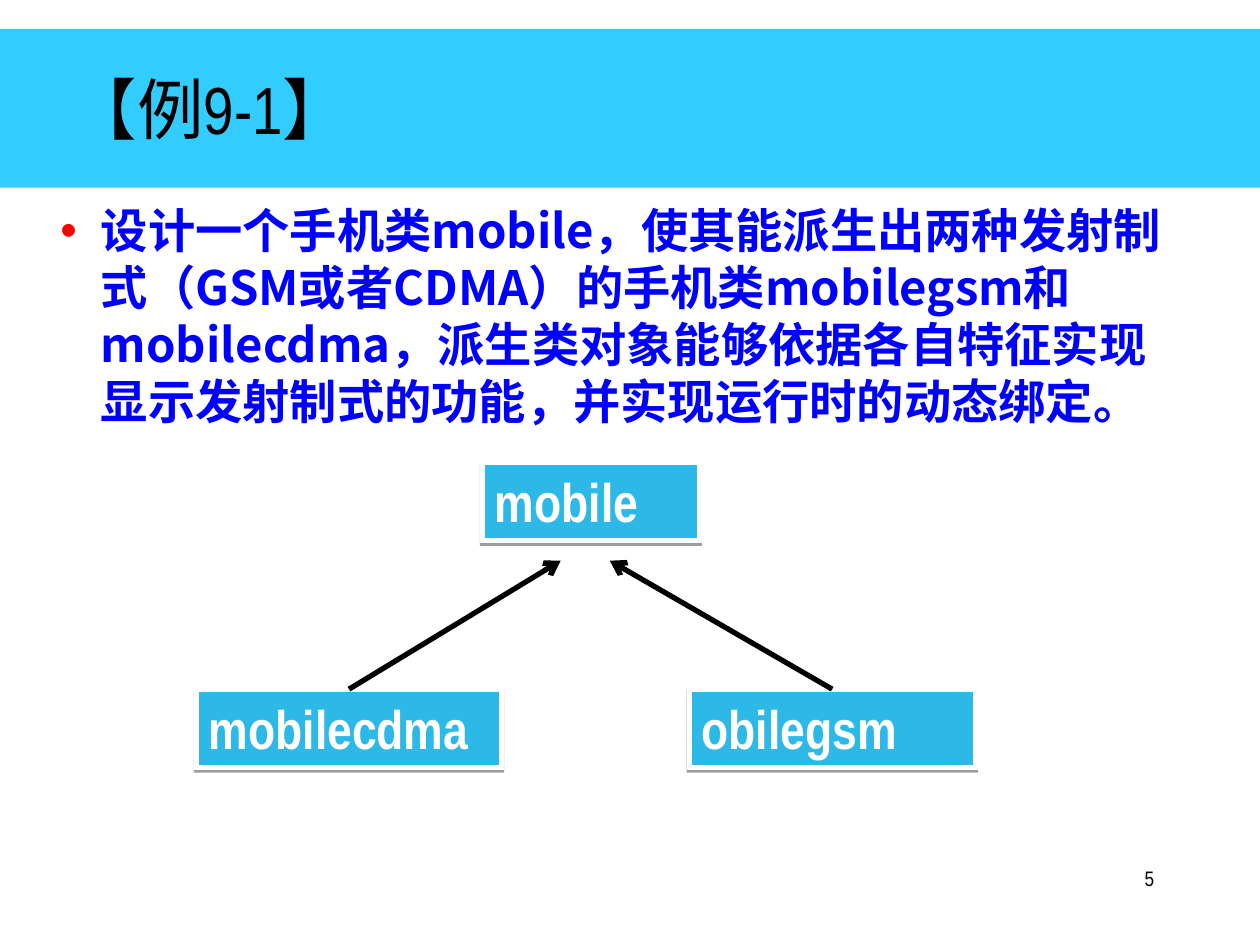
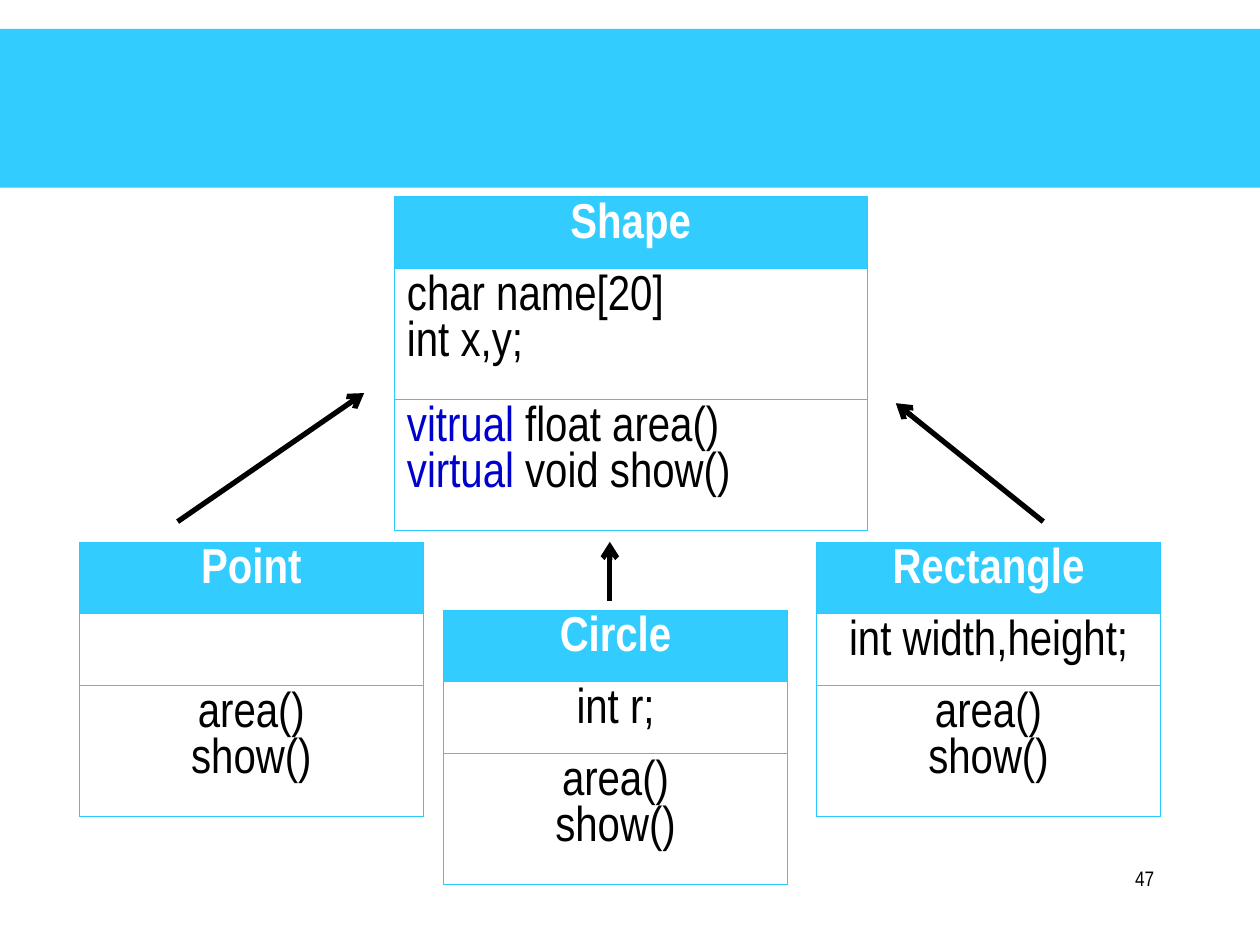
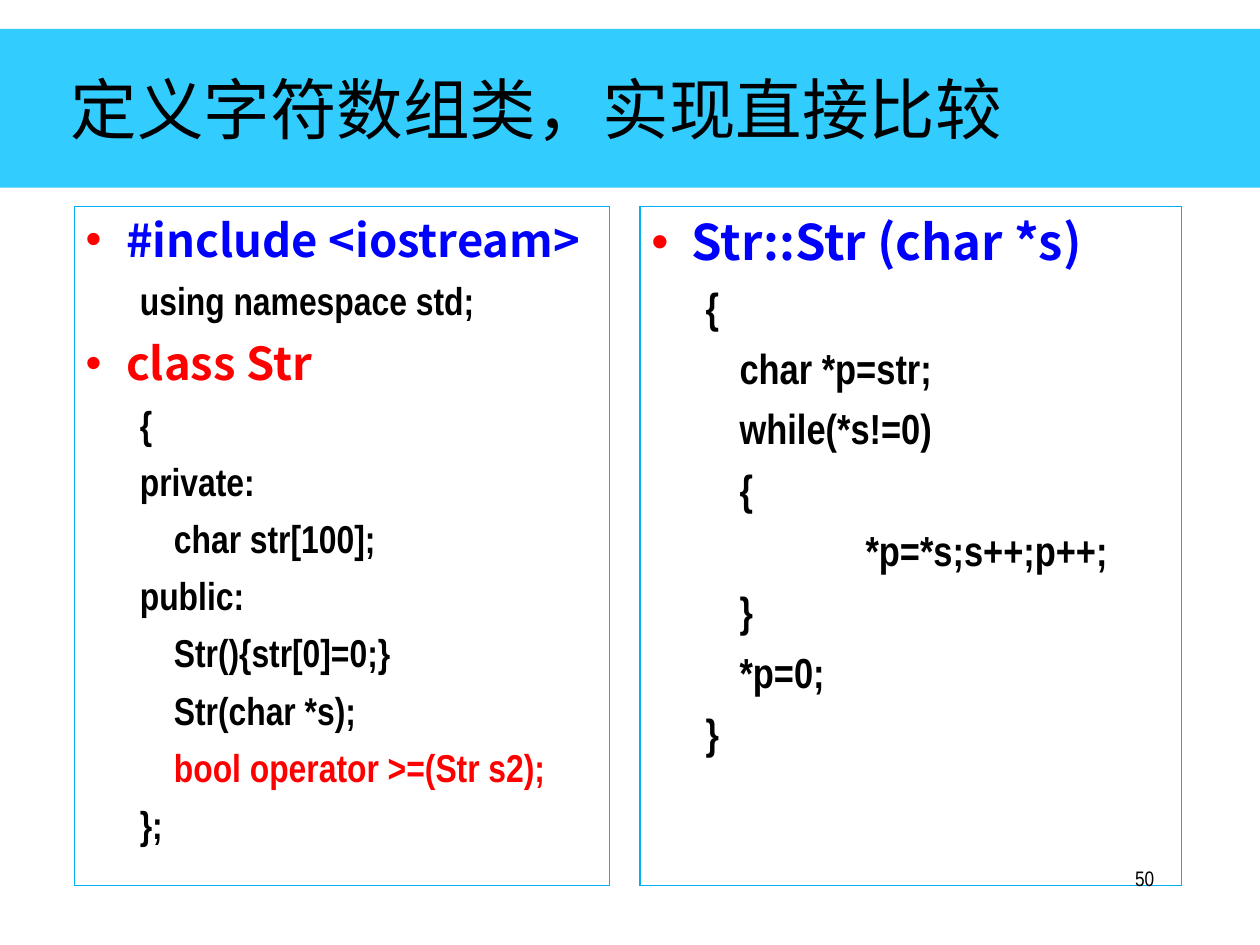
"""Build three lecture slides on polymorphism in C++."""
from lxml import etree
from pptx import Presentation, util as u
from pptx.dml.color import RGBColor
from pptx.enum import shapes, text
from pptx.oxml.ns import qn

WIDTH, HEIGHT = 10, 7.5
LATIN, CJK = "Arial Narrow", "Noto Sans CJK SC"
SKY, BOX_BLUE, PANEL_LINE, GRID_LINE = "33CCFF", "2DB9E7", "00B0F0", "2DCAFE"
BLACK, WHITE, BLUE, RED, KEYWORD = "000000", "FFFFFF", "0000FF", "FF0000", "0000CC"
LEFT, CENTER, RIGHT = text.PP_ALIGN.LEFT, text.PP_ALIGN.CENTER, text.PP_ALIGN.RIGHT

TASK = ("设计一个手机类mobile，使其能派生出两种发射制式（GSM或者CDMA）的手机类mobilegsm"
        "和mobilecdma，派生类对象能够依据各自特征实现显示发射制式的功能，并实现运行时的动态绑定。")
PHONE_BASE = ("mobile", 3.83, 3.67, 1.72)
PHONE_CHILDREN = [
    (("mobilecdma", 1.56, 5.47, 2.42), (4.45, 4.45)),
    (("obilegsm", 5.47, 5.47, 2.27), (4.84, 4.45)),
]

METHODS = [[("area()", BLACK)], [("show()", BLACK)]]
CLASSES = [
    ("Point", 0.63, 4.3, 2.73, CENTER, [[], METHODS]),
    ("Circle", 3.52, 4.84, 2.73, CENTER, [[[("int r;", BLACK)]], METHODS]),
    ("Rectangle", 6.48, 4.3, 2.73, CENTER, [[[("int width,height;", BLACK)]], METHODS]),
    ("Shape", 3.13, 1.56, 3.75, LEFT, [
        [[("char name[20]", BLACK)], [("int x,y;", BLACK)]],
        [[("vitrual", KEYWORD), (" float area()", BLACK)],
         [("virtual", KEYWORD), (" void show()", BLACK)]]]),
]
INHERITANCE = [((1.41, 4.14), (2.89, 3.12)), ((8.28, 4.14), (7.11, 3.2)),
               ((4.84, 4.77), (4.84, 4.3))]

CODE_PANELS = [
    (0.59, 4.25, 25.9, 22.2, [
        (0, "#include <iostream>", BLUE), (1, "using namespace std;", BLACK),
        (0, "class Str", RED), (1, "{", BLACK), (1, "private:", BLACK),
        (1, "\tchar str[100];", BLACK), (1, "public:", BLACK),
        (1, "\tStr(){str[0]=0;}", BLACK), (1, "\tStr(char *s);", BLACK),
        (1, "\tbool operator >=(Str s2);", RED), (1, "};", BLACK)]),
    (5.08, 4.3, 28, 24, [
        (0, "Str::Str (char *s)", BLUE), (1, "{", BLACK), (1, "\tchar *p=str;", BLACK),
        (1, "\twhile(*s!=0)", BLACK), (1, "\t{", BLACK), (1, "\t\t*p=*s;s++;p++;", BLACK),
        (1, "\t}", BLACK), (1, "\t*p=0;", BLACK), (1, "}", BLACK)]),
]


def color(value):
    return RGBColor.from_string(value)


def add_xml(parent, tag, **attributes):
    return etree.SubElement(parent, qn(tag), {key: str(value) for key, value in attributes.items()})


def set_margins(target, side, top):
    margins = {"margin_left": side, "margin_right": side, "margin_top": top, "margin_bottom": top}
    for name, value in margins.items():
        setattr(target, name, u.Inches(value))


def add_span(para, words, size, shade, bold=False, font=LATIN):
    span = para.add_run()
    span.text = words
    for name, value in {"size": u.Pt(size), "bold": bold, "name": font}.items():
        setattr(span.font, name, value)
    span.font.color.rgb = color(shade)
    add_xml(span.font._element, "a:ea", typeface=CJK)


def next_para(frame, index):
    return frame.paragraphs[0] if index == 0 else frame.add_paragraph()


def indent(para, left, hanging):
    properties = para._p.get_or_add_pPr()
    values = {"marL": u.Inches(left), "indent": u.Inches(-hanging),
              "defTabSz": u.Inches(1), "hangingPunct": 0}
    for name, value in values.items():
        properties.set(name, str(value))
    return properties


def add_bullet_text(para, words, size, shade):
    properties = indent(para, 0.32, 0.32)
    add_xml(add_xml(properties, "a:buClr"), "a:srgbClr", val=RED)
    add_xml(properties, "a:buFont", typeface="Arial")
    add_xml(properties, "a:buChar", char="•")
    add_span(para, words, size, shade, True, CJK)


def add_code_line(para, words, size, shade):
    para.level = 1
    properties = indent(para, 0.7, 0.27)
    add_xml(properties, "a:buNone")
    stops = add_xml(properties, "a:tabLst")
    for step in range(8):
        add_xml(stops, "a:tab", pos=u.Inches(step * 6 / 7), algn="l")
    add_span(para, words, size, shade, True)


def add_text_box(page, left, top, width, height, anchor=text.MSO_ANCHOR.TOP):
    frame = page.shapes.add_textbox(*map(u.Inches, (left, top, width, height))).text_frame
    frame.word_wrap = True
    frame.vertical_anchor = anchor
    set_margins(frame, 0.09, 0.04)
    return frame


def add_rectangle(page, left, top, width, height, fill=None, line=None, weight=1):
    box = page.shapes.add_shape(shapes.MSO_SHAPE.RECTANGLE,
                                *map(u.Inches, (left, top, width, height)))
    box.shadow.inherit = False
    if fill:
        box.fill.solid()
        box.fill.fore_color.rgb = color(fill)
    else:
        box.fill.background()
    if line:
        box.line.color.rgb = color(line)
        box.line.width = u.Pt(weight)
        add_xml(box.line._get_or_add_ln(), "a:miter", lim=800000)
    else:
        box.line.fill.background()
    box.text_frame.word_wrap = True
    box.text_frame.vertical_anchor = text.MSO_ANCHOR.TOP
    return box


def add_arrow(page, start, end):
    arrow = page.shapes.add_connector(shapes.MSO_CONNECTOR.STRAIGHT, *map(u.Inches, start + end))
    arrow.line.color.rgb = color(BLACK)
    arrow.line.width = u.Pt(3)
    add_xml(arrow.line._get_or_add_ln(), "a:tailEnd", type="arrow")
    add_xml(arrow._element.spPr, "a:effectLst")
    return arrow


def add_page(deck, title=None):
    page = deck.slides.add_slide(deck.slide_layouts[6])
    add_rectangle(page, 0, 0.23, WIDTH, 1.26, SKY)
    if title:
        frame = add_text_box(page, 0.47, 0.23, 8.5, 1.25, text.MSO_ANCHOR.MIDDLE)
        add_span(frame.paragraphs[0], title, 38, BLACK)
    return page


def add_page_number(page, number):
    para = add_text_box(page, 7.17, 6.83, 2.08, 0.5).paragraphs[0]
    para.alignment = RIGHT
    add_span(para, str(number), 12, BLACK)


def add_phone_box(page, name, left, top, width):
    box = add_rectangle(page, left, top, width, 0.62, BOX_BLUE, WHITE, 3)
    effects = box._element.spPr.find(qn("a:effectLst"))
    shadow = add_xml(effects, "a:outerShdw", blurRad=0, dist=u.Pt(1.6), dir=5400000,
                     rotWithShape=0)
    add_xml(add_xml(shadow, "a:srgbClr", val=BLACK), "a:alpha", val=38000)
    set_margins(box.text_frame, 0.1, 0.05)
    para = box.text_frame.paragraphs[0]
    para.alignment = LEFT
    add_span(para, name, 31, WHITE, True)
    return box


def fill_cell(cell, lines, alignment, fill=None, bold=False):
    set_margins(cell, 0.1, 0.05)
    if fill:
        cell.fill.solid()
        cell.fill.fore_color.rgb = color(fill)
    else:
        cell.fill.background()
    for index, spans in enumerate(lines):
        para = next_para(cell.text_frame, index)
        para.alignment = alignment
        for words, shade in spans:
            add_span(para, words, 28, shade, bold)
    properties = cell._tc.get_or_add_tcPr()
    for position, side in enumerate(("a:lnL", "a:lnR", "a:lnT", "a:lnB")):
        border = etree.Element(qn(side), w=str(u.Pt(0.34)))
        add_xml(add_xml(border, "a:solidFill"), "a:srgbClr", val=GRID_LINE)
        properties.insert(position, border)


def add_class_table(page, name, left, top, width, alignment, sections):
    heights = [0.57] + [1.04 if len(lines) > 1 else 0.57 for lines in sections]
    frame = page.shapes.add_table(3, 1, *map(u.Inches, (left, top, width, sum(heights))))
    for row, height in zip(frame.table.rows, heights):
        row.height = u.Inches(height)
    fill_cell(frame.table.cell(0, 0), [[(name, WHITE)]], CENTER, SKY, True)
    for index, lines in enumerate(sections, 1):
        fill_cell(frame.table.cell(index, 0), lines, alignment)


def add_code_panel(page, left, width, bullet_size, code_size, lines):
    frame = add_rectangle(page, left, 1.64, width, 5.39, line=PANEL_LINE, weight=0.75).text_frame
    set_margins(frame, 0.09, 0.04)
    for index, (level, words, shade) in enumerate(lines):
        para = next_para(frame, index)
        para.alignment = LEFT
        if index:
            para.space_before = u.Pt(6 if level else 7)
        if level:
            add_code_line(para, words, code_size, shade)
        else:
            add_bullet_text(para, words, bullet_size, shade)


def build_phone_page(deck):
    page = add_page(deck, "【例9-1】")
    frame = add_text_box(page, 0.39, 1.56, 9.06, 1.95)
    add_bullet_text(frame.paragraphs[0], TASK, 27, BLUE)
    add_page_number(page, 5)
    add_phone_box(page, *PHONE_BASE)
    for child, tip in PHONE_CHILDREN:
        box = add_phone_box(page, *child)
        name, left, top, width = child
        add_arrow(page, (left + width / 2, top), tip).begin_connect(box, 0)


def build_class_page(deck):
    page = add_page(deck)
    add_page_number(page, 47)
    for entry in CLASSES:
        add_class_table(page, *entry)
    for start, end in INHERITANCE:
        add_arrow(page, start, end)


def build_code_page(deck):
    page = add_page(deck, "定义字符数组类，实现直接比较")
    for panel in CODE_PANELS:
        add_code_panel(page, *panel)
    add_page_number(page, 50)


def main():
    deck = Presentation()
    deck.slide_width, deck.slide_height = u.Inches(WIDTH), u.Inches(HEIGHT)
    for build in (build_phone_page, build_class_page, build_code_page):
        build(deck)
    deck.save("out.pptx")


if __name__ == "__main__":
    main()
